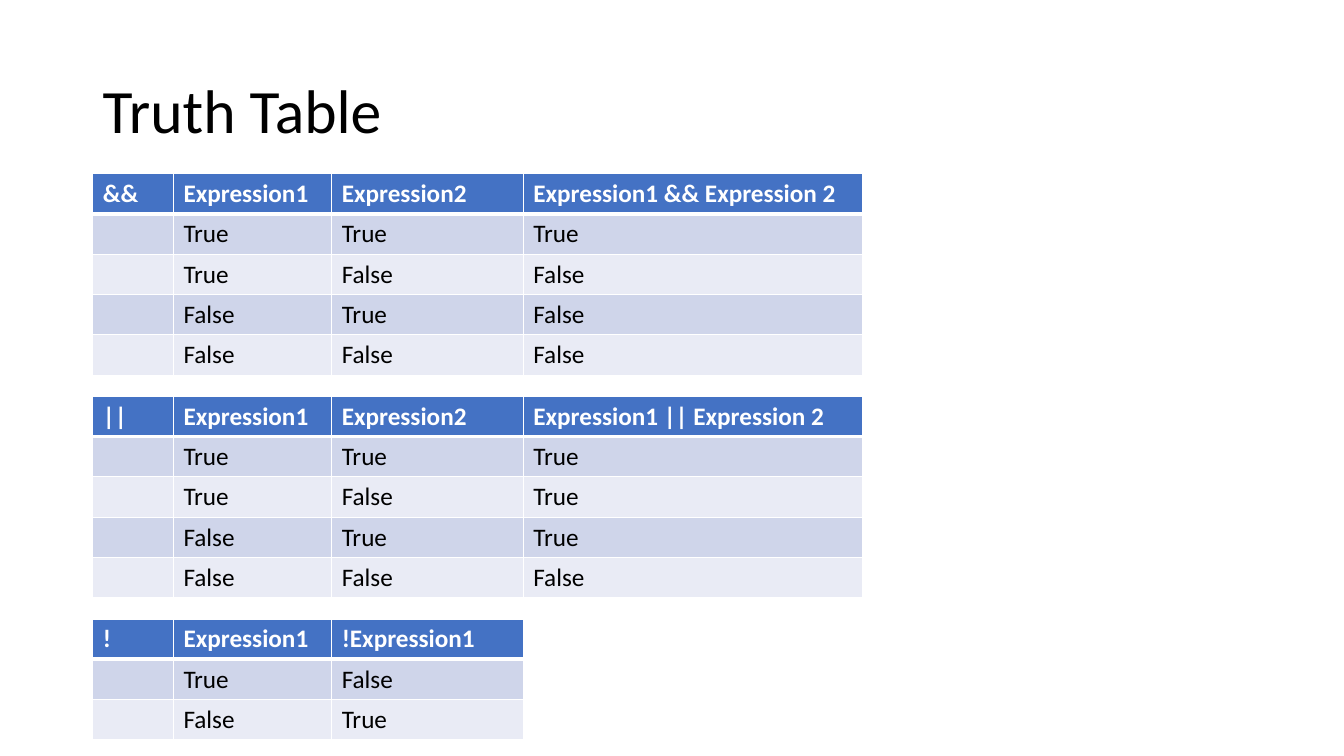
from dataclasses import dataclass
from itertools import product

from lxml import etree
from pptx import Presentation
from pptx.dml.color import RGBColor
from pptx.enum.text import MSO_ANCHOR
from pptx.oxml.ns import qn
from pptx.util import Inches, Pt

MIDDLE = MSO_ANCHOR.MIDDLE
BLANK_LAYOUT = 6
LEFT = 0.92
ROW_HEIGHT = 0.37
COLUMN_WIDTHS = (0.8, 1.57, 1.9, 3.37)


@dataclass(frozen=True)
class Theme:
    """Colours, type sizes and rule widths of the slide."""
    font: str = "Calibri"
    title_size: int = 44
    table_size: int = 18
    ink: str = "000000"
    paper: str = "FFFFFF"
    header: str = "4472C4"
    bands: tuple = ("CFD5EA", "E9EBF5")
    thin: int = 1
    thick: int = 3


THEME = Theme()


def write(frame, text, size=THEME.table_size, color=THEME.ink, bold=False, spacing=None):
    """Put one formatted paragraph into a text frame."""
    para = frame.paragraphs[0]
    para.line_spacing = spacing
    span = para.add_run()
    span.text = text
    span.font.name = THEME.font
    span.font.size = Pt(size)
    span.font.bold = bold
    span.font.color.rgb = RGBColor.from_string(color)


def add_title(slide, text):
    """Add the slide title."""
    box = slide.shapes.add_textbox(Inches(LEFT), Inches(0.4), Inches(11.5), Inches(1.45))
    frame = box.text_frame
    frame.word_wrap = True
    frame.vertical_anchor = MIDDLE
    write(frame, text, size=THEME.title_size, spacing=0.9)


def set_borders(cell, top, bottom):
    """Draw the four borders of a cell, with widths in points."""
    properties = cell._tc.get_or_add_tcPr()
    widths = {"a:lnL": THEME.thin, "a:lnR": THEME.thin, "a:lnT": top, "a:lnB": bottom}
    for tag, width in widths.items():
        line = etree.SubElement(properties, qn(tag), w=str(Pt(width)))
        fill = etree.SubElement(line, qn("a:solidFill"))
        etree.SubElement(fill, qn("a:srgbClr"), val=THEME.paper)


def fill_cell(cell, text, row):
    """Format one cell by its row: header first, then alternating bands."""
    is_header = row == 0
    set_borders(
        cell,
        top=THEME.thick if row == 1 else THEME.thin,
        bottom=THEME.thick if is_header else THEME.thin,
    )
    cell.fill.solid()
    color = THEME.header if is_header else THEME.bands[(row - 1) % 2]
    cell.fill.fore_color.rgb = RGBColor.from_string(color)
    if text:
        write(cell.text_frame, text, color=THEME.paper if is_header else THEME.ink, bold=is_header)


def add_truth_table(slide, top, headings, operation):
    """Add a table of every input combination and its result."""
    inputs = product((True, False), repeat=len(headings) - 2)
    rows = [headings]
    rows += [("", *map(str, values), str(operation(*values))) for values in inputs]
    widths = COLUMN_WIDTHS[:len(headings)]
    table = slide.shapes.add_table(
        len(rows), len(widths), Inches(LEFT), Inches(top),
        Inches(sum(widths)), Inches(ROW_HEIGHT * len(rows)),
    ).table
    for column, width in zip(table.columns, widths):
        column.width = Inches(width)
    for row, texts in enumerate(rows):
        table.rows[row].height = Inches(ROW_HEIGHT)
        for column, text in enumerate(texts):
            fill_cell(table.cell(row, column), text, row)


def main():
    """Build the slide and save the deck."""
    deck = Presentation()
    deck.slide_width = Inches(13.33)
    deck.slide_height = Inches(7.5)
    slide = deck.slides.add_slide(deck.slide_layouts[BLANK_LAYOUT])
    add_title(slide, "Truth Table")
    add_truth_table(
        slide, 1.72, ("&&", "Expression1", "Expression2", "Expression1 && Expression 2"),
        lambda first, second: first and second,
    )
    add_truth_table(
        slide, 3.93, ("||", "Expression1", "Expression2", "Expression1 || Expression 2"),
        lambda first, second: first or second,
    )
    add_truth_table(
        slide, 6.14, ("!", "Expression1", "!Expression1"), lambda value: not value,
    )
    deck.save("out.pptx")


if __name__ == "__main__":
    main()
